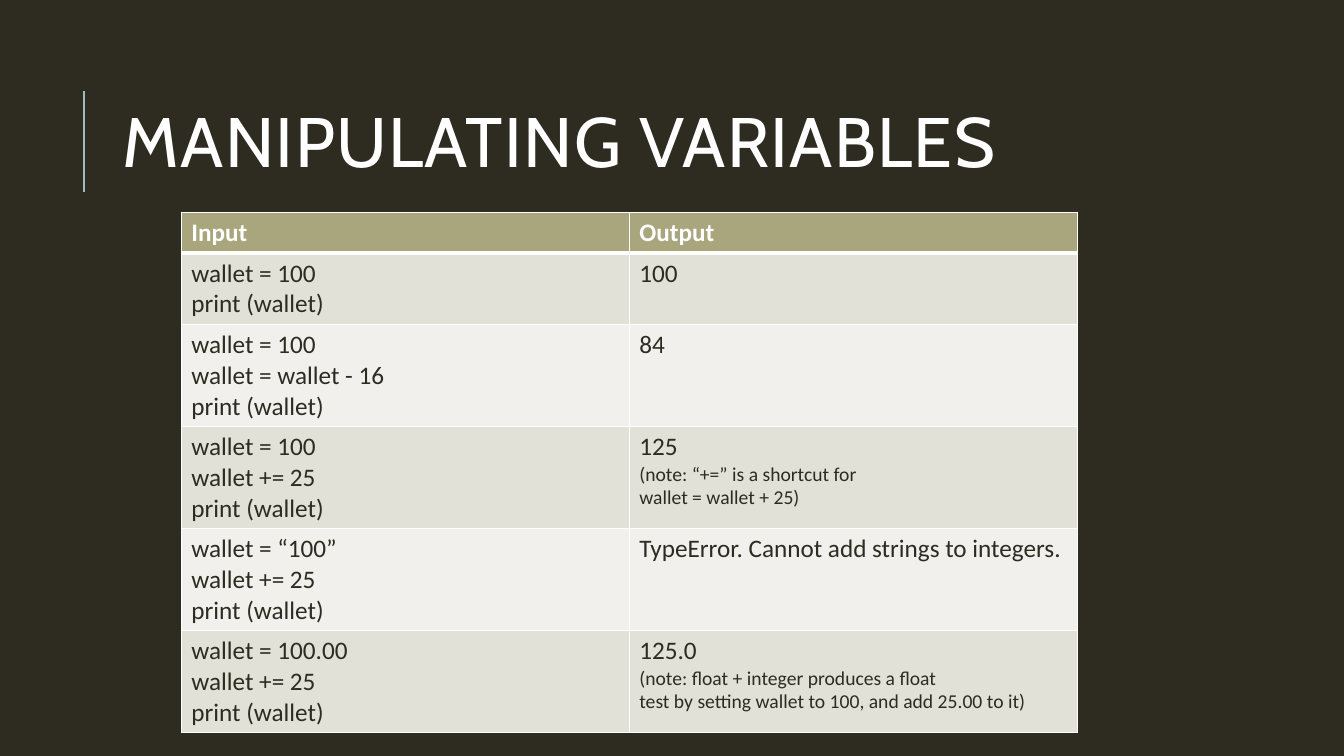
"""Build the slide on manipulating variables, with a table of inputs and outputs."""
from copy import deepcopy
from dataclasses import dataclass

from lxml import etree
from pptx import Presentation
from pptx.dml.color import RGBColor
from pptx.enum.shapes import MSO_CONNECTOR
from pptx.enum.text import MSO_ANCHOR
from pptx.oxml.ns import qn
from pptx.util import Cm, Pt

STRAIGHT = MSO_CONNECTOR.STRAIGHT
MIDDLE = MSO_ANCHOR.MIDDLE

DARK = RGBColor(0x2E, 0x2B, 0x21)
WHITE = RGBColor(0xFF, 0xFF, 0xFF)
TEAL = RGBColor(0x9C, 0xBE, 0xBD)
OLIVE = RGBColor(0xA9, 0xA5, 0x7C)
BAND_DARK = RGBColor(0xE2, 0xE1, 0xD7)
BAND_LIGHT = RGBColor(0xF1, 0xF0, 0xEC)

TITLE_FONT = "Cabin"
BODY_FONT = "Calibri"
BODY_SIZE = 18
NOTE_SIZE = 14
LINE_HEIGHT = 0.77
CELL_PADDING = 0.26


@dataclass(frozen=True)
class Example:
    """Code, its result and an optional note in smaller type."""

    code: str
    result: str
    note: str = ""


HEADER = Example("Input", "Output")
EXAMPLES = [
    Example("wallet = 100\nprint (wallet)", "100"),
    Example("wallet = 100\nwallet = wallet - 16\nprint (wallet)", "84"),
    Example("wallet = 100\nwallet += 25\nprint (wallet)", "125",
            "(note: “+=” is a shortcut for\nwallet = wallet + 25)"),
    Example("wallet = “100”\nwallet += 25\nprint (wallet)",
            "TypeError. Cannot add strings to integers."),
    Example("wallet = 100.00\nwallet += 25\nprint (wallet)", "125.0",
            "(note: float + integer produces a float\n"
            "test by setting wallet to 100, and add 25.00 to it)"),
]


def add_accent_line(slide) -> None:
    """Draw the upright line beside the title."""
    line = slide.shapes.add_connector(STRAIGHT, Cm(2.11), Cm(4.83), Cm(2.11), Cm(2.29))
    line.line.color.rgb = TEAL
    line.line.width = Pt(1.5)
    etree.SubElement(line._element.spPr, qn("a:effectLst"))


def add_title(slide, text: str) -> None:
    """Add the slide title."""
    box = slide.shapes.add_textbox(Cm(2.84), Cm(1.63), Cm(27), Cm(4.17))
    frame = box.text_frame
    frame.word_wrap = True
    frame.vertical_anchor = MIDDLE
    frame.text = text
    para = frame.paragraphs[0]
    para.line_spacing = 0.8
    font = para.runs[0].font
    font.name = TITLE_FONT
    font.size = Pt(50)
    font.color.rgb = WHITE
    font._element.set("spc", "100")


def set_borders(cell, top: float, bottom: float) -> None:
    """Give a cell white borders, with top and bottom widths in points."""
    properties = cell._tc.get_or_add_tcPr()
    for side, width in (("L", 1), ("R", 1), ("T", top), ("B", bottom)):
        border = etree.SubElement(properties, qn(f"a:ln{side}"), w=str(Pt(width)))
        fill = etree.SubElement(border, qn("a:solidFill"))
        etree.SubElement(fill, qn("a:srgbClr"), val=str(WHITE))


def fill_cell(cell, text: str, note: str, fill: RGBColor, color: RGBColor, bold: bool) -> None:
    """Write text and a smaller note into a cell and colour it."""
    cell.fill.solid()
    cell.fill.fore_color.rgb = fill
    para = cell.text_frame.paragraphs[0]
    para.text = f"{text}\n{note}" if note else text
    for index, span in enumerate(para.runs):
        font = span.font
        font.name = BODY_FONT
        font.size = Pt(NOTE_SIZE if note and index else BODY_SIZE)
        font.bold = bold
        font.color.rgb = color
    for line_break in para._p.findall(qn("a:br")):
        line_break.append(deepcopy(line_break.getprevious().find(qn("a:rPr"))))


def add_examples(slide, examples: list[Example]) -> None:
    """Add the table with a header row and one row for each example."""
    rows = [HEADER, *examples]
    heights = [Cm(CELL_PADDING + LINE_HEIGHT * len(row.code.split("\n"))) for row in rows]
    frame = slide.shapes.add_table(len(rows), 2, Cm(4.57), Cm(5.35), Cm(22.58), sum(heights))
    table = frame.table
    table.horz_banding = False
    for index, (row, height) in enumerate(zip(rows, heights)):
        table.rows[index].height = height
        is_header = index == 0
        band = BAND_DARK if index % 2 else BAND_LIGHT
        for column, (text, note) in enumerate(((row.code, ""), (row.result, row.note))):
            cell = table.cell(index, column)
            set_borders(cell, 3 if index == 1 else 1, 3 if is_header else 1)
            fill_cell(cell, text, note, OLIVE if is_header else band,
                      WHITE if is_header else DARK, is_header)


def main() -> None:
    """Build and save the deck."""
    deck = Presentation()
    deck.slide_width = Cm(33.87)
    deck.slide_height = Cm(19.05)
    page = deck.slides.add_slide(deck.slide_layouts[6])
    page.background.fill.solid()
    page.background.fill.fore_color.rgb = DARK
    add_accent_line(page)
    add_title(page, "MANIPULATING VARIABLES")
    add_examples(page, EXAMPLES)
    deck.save("out.pptx")


main()
